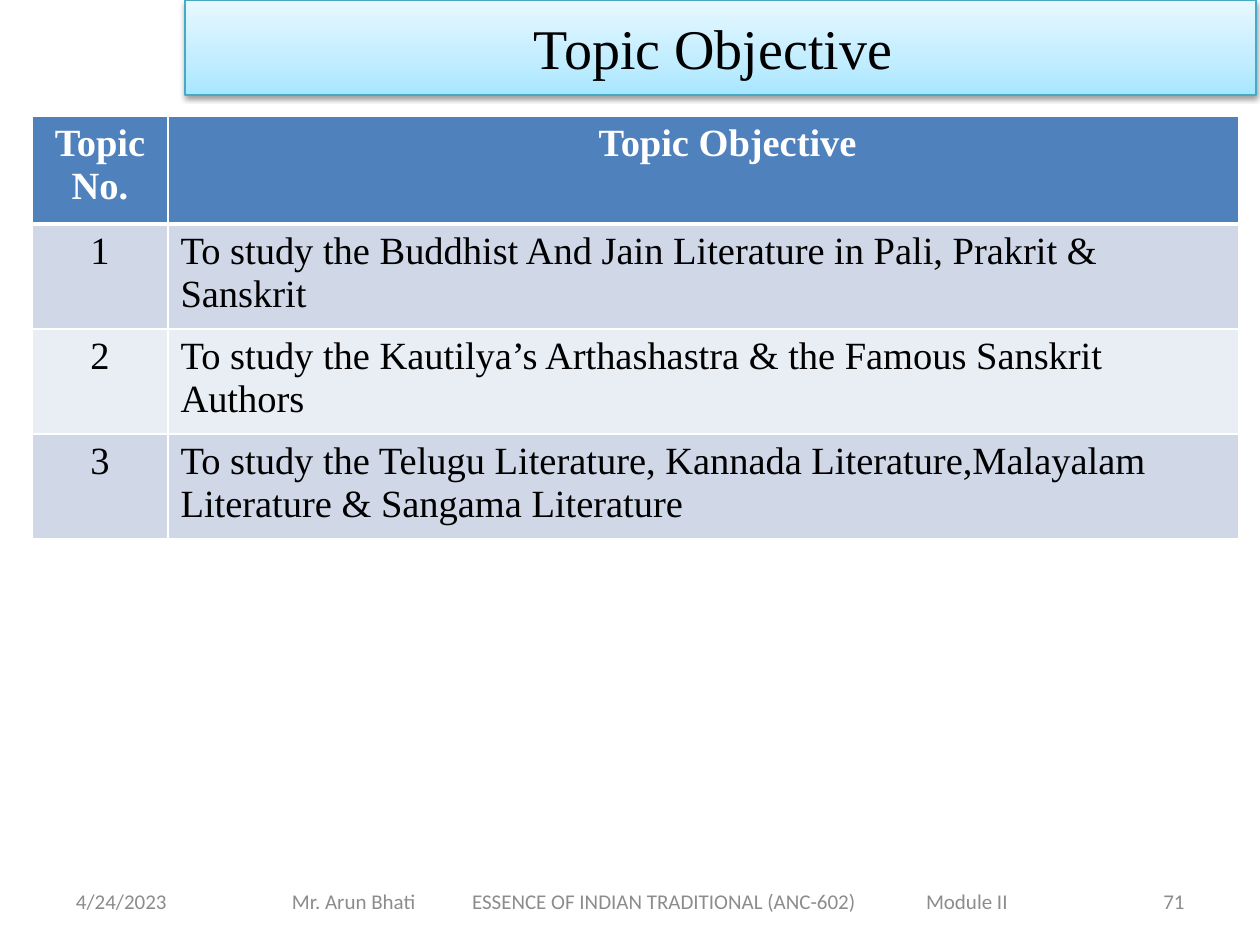
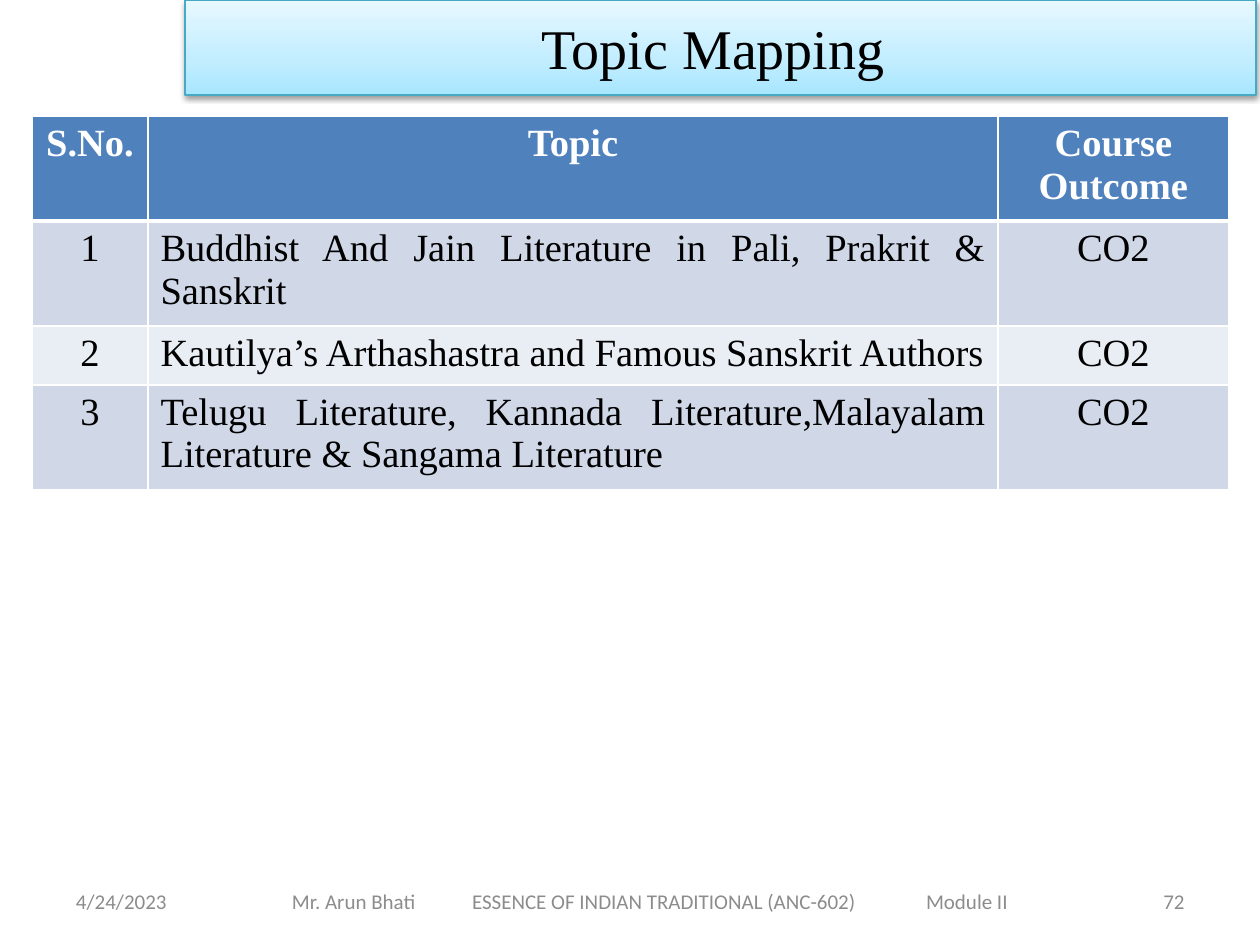
import pptx
import pptx.dml.color
import pptx.enum.text
import pptx.oxml
import pptx.oxml.ns
import pptx.util

RGB = pptx.dml.color.RGBColor
ALIGN = pptx.enum.text.PP_ALIGN
MIDDLE = pptx.enum.text.MSO_ANCHOR.MIDDLE

BLACK = RGB(0x00, 0x00, 0x00)
WHITE = RGB(0xFF, 0xFF, 0xFF)
GREY = RGB(0x8C, 0x8C, 0x8C)
HEADER_BLUE = RGB(0x4F, 0x81, 0xBD)
BANDS = [RGB(0xD0, 0xD8, 0xE8), RGB(0xE9, 0xED, 0xF4)]
TITLE_LINE = RGB(0x46, 0xAA, 0xC5)
TITLE_STOPS = [(0, RGB(0xA7, 0xE6, 0xFF)), (35, RGB(0xC1, 0xED, 0xFF)),
               (100, RGB(0xE7, 0xF8, 0xFF))]

SERIF = "Times New Roman"
SANS = "Calibri"
NS = pptx.oxml.ns.nsdecls("a")

TABLE_LEFT, TABLE_TOP = 32, 116
INSET = 13
FOOTER_TOP, FOOTER_HEIGHT = 876, 50
FOOTER_TABS = [180, 634]


def px(n):
    return pptx.util.Emu(round(n * 914400 / 126))


def xml(text):
    return pptx.oxml.parse_xml(text)


def write(tf, text, size=22, font=SERIF, color=BLACK, bold=False,
          align=ALIGN.LEFT, tabs=()):
    """Fill a text frame with one formatted paragraph."""
    tf.word_wrap = True
    p = tf.paragraphs[0]
    p.alignment = align
    if tabs:
        stops = "".join(f'<a:tab pos="{px(t)}" algn="l"/>' for t in tabs)
        p._p.get_or_add_pPr().append(xml(f"<a:tabLst {NS}>{stops}</a:tabLst>"))
    r = p.add_run()
    r.text = text
    r.font.size = pptx.util.Pt(size)
    r.font.name = font
    r.font.bold = bold
    r.font.color.rgb = color


def add_title(slide, text):
    """Gradient title band with a soft shadow."""
    sp = slide.shapes.title
    sp.left, sp.top, sp.width, sp.height = px(185), px(0), px(1071), px(95)
    stops = "".join(f'<a:gs pos="{pos * 1000}"><a:srgbClr val="{c}"/></a:gs>'
                    for pos, c in TITLE_STOPS)
    props = sp._element.spPr
    props.append(xml(f'<a:gradFill {NS} rotWithShape="1"><a:gsLst>{stops}</a:gsLst>'
                     '<a:lin ang="16200000" scaled="0"/></a:gradFill>'))
    sp.line.color.rgb = TITLE_LINE
    sp.line.width = pptx.util.Pt(0.75)
    props.append(xml(
        f'<a:effectLst {NS}><a:outerShdw blurRad="40000" dist="20000" dir="5400000"'
        ' rotWithShape="0"><a:srgbClr val="000000"><a:alpha val="38000"/>'
        '</a:srgbClr></a:outerShdw></a:effectLst>'))
    tf = sp.text_frame
    tf.vertical_anchor = MIDDLE
    tf.margin_right = px(INSET + 14)
    write(tf, text, size=32, align=ALIGN.CENTER)


def add_footer_text(slide, left, width, text, margin=INSET, **fmt):
    box = slide.shapes.add_textbox(px(left), px(FOOTER_TOP), px(width),
                                   px(FOOTER_HEIGHT))
    tf = box.text_frame
    tf.vertical_anchor = MIDDLE
    tf.margin_left = px(margin)
    write(tf, text, size=12, font=SANS, color=GREY, **fmt)


def add_footer(slide, number):
    add_footer_text(slide, 63, 294, "4/24/2023")
    add_footer_text(
        slide, 220, 861,
        "Mr. Arun Bhati\tESSENCE OF INDIAN TRADITIONAL (ANC-602)\tModule II",
        margin=72, tabs=FOOTER_TABS)
    add_footer_text(slide, 903, 294, str(number), align=ALIGN.RIGHT)


def set_borders(cell, top, bottom):
    """White cell borders, one point wide at the sides."""
    props = cell._tc.get_or_add_tcPr()
    for side, width in (("L", 1), ("R", 1), ("T", top), ("B", bottom)):
        props.append(xml(f'<a:ln{side} {NS} w="{width * 12700}"><a:solidFill>'
                         f'<a:srgbClr val="{WHITE}"/></a:solidFill></a:ln{side}>'))


def add_table(slide, rows, widths, heights, aligns, header_shift=0):
    """Banded table; header_shift moves the second heading to the right."""
    frame = slide.shapes.add_table(
        len(rows), len(widths), px(TABLE_LEFT), px(TABLE_TOP),
        px(sum(widths)), px(sum(heights)))
    table = frame.table
    for col, width in zip(table.columns, widths):
        col.width = px(width)
    for i, (row, height) in enumerate(zip(rows, heights)):
        table.rows[i].height = px(height)
        head = i == 0
        for j, text in enumerate(row):
            cell = table.cell(i, j)
            set_borders(cell, top=3 if i == 1 else 1, bottom=3 if head else 1)
            cell.fill.solid()
            cell.fill.fore_color.rgb = HEADER_BLUE if head else BANDS[(i - 1) % 2]
            write(cell.text_frame, text, bold=head,
                  color=WHITE if head else BLACK,
                  align=ALIGN.CENTER if head else aligns[j])
    if header_shift:
        table.cell(0, 1).margin_left = px(INSET + header_shift)


def add_slide(prs, title, number):
    slide = prs.slides.add_slide(prs.slide_layouts[5])
    add_footer(slide, number)
    add_title(slide, title)
    return slide


def main():
    prs = pptx.Presentation()
    prs.slide_width, prs.slide_height = px(1260), px(945)

    # Topic objectives
    slide = add_slide(prs, "Topic Objective", 71)
    add_table(slide, [
        ("Topic No.", "Topic Objective"),
        ("1", "To study the Buddhist And Jain Literature in Pali, Prakrit & Sanskrit"),
        ("2", "To study the Kautilya’s Arthashastra & the Famous Sanskrit Authors"),
        ("3", "To study the Telugu Literature, Kannada Literature,Malayalam "
              "Literature & Sangama Literature"),
    ], widths=[136, 1071], heights=[108, 98, 98, 98],
        aligns=[ALIGN.CENTER, ALIGN.LEFT], header_shift=48)

    # Mapping of topics to course outcomes
    slide = add_slide(prs, "Topic Mapping", 72)
    add_table(slide, [
        ("S.No.", "Topic", "Course Outcome"),
        ("1", "Buddhist And Jain Literature in Pali, Prakrit & Sanskrit", "CO2"),
        ("2", "Kautilya’s Arthashastra and Famous Sanskrit Authors", "CO2"),
        ("3", "Telugu Literature, Kannada Literature,Malayalam "
              "Literature & Sangama Literature", "CO2"),
    ], widths=[116, 850, 231], heights=[103, 103, 58, 103],
        aligns=[ALIGN.CENTER, ALIGN.JUSTIFY, ALIGN.CENTER])

    prs.save("out.pptx")


if __name__ == "__main__":
    main()
